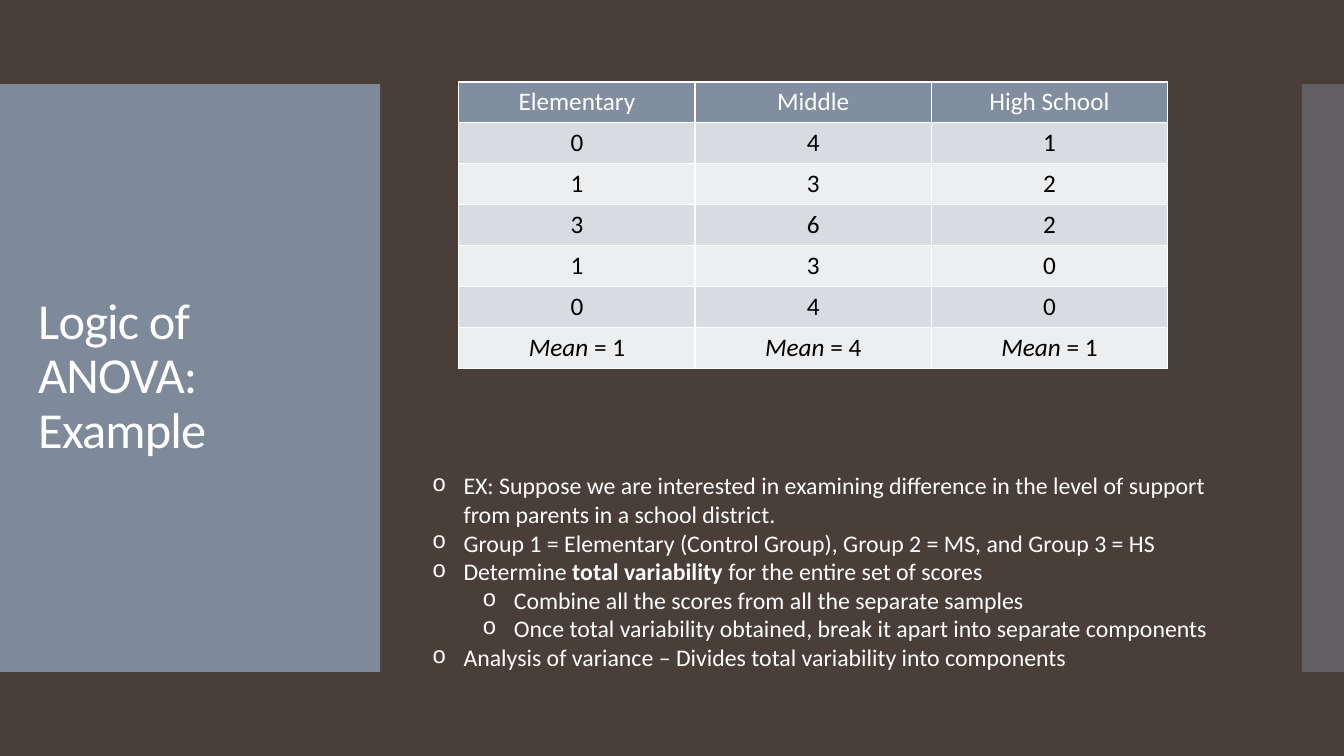
from dataclasses import dataclass

from lxml.etree import SubElement
from pptx import Presentation
from pptx.dml.color import RGBColor
from pptx.enum.shapes import MSO_SHAPE
from pptx.enum.text import MSO_ANCHOR, PP_ALIGN
from pptx.oxml.ns import qn
from pptx.util import Emu, Pt

PX = 9525  # EMU per px, 96 px to the inch
FONT = "Calibri"
WHITE, BLACK, BROWN, SLATE = "FFFFFF", "000000", "4A3F38", "818E9F"
BANDS = ("D8DBDF", "EDEEF0")


@dataclass(frozen=True)
class Box:
    left: int
    top: int
    width: int
    height: int

    def emu(self) -> list[Emu]:
        return [px(n) for n in (self.left, self.top, self.width, self.height)]


@dataclass(frozen=True)
class Panel:
    box: Box
    opacity: int


@dataclass(frozen=True)
class Span:
    text: str
    bold: bool = False
    italic: bool = False


@dataclass(frozen=True)
class Point:
    spans: tuple[Span, ...]
    level: int = 0


PANELS = (Panel(Box(0, 80, 362, 560), 95), Panel(Box(1240, 80, 40, 560), 40))
TITLE_BOX = Box(27, 118, 309, 483)
POINTS_BOX = Box(402, 444, 792, 284)
COLUMN_WIDTH, ROW_HEIGHT = 225, 39
TABLE_LEFT, TABLE_TOP = 437, 78
INDENT, LEVEL_STEP = 30, 48

SCHOOLS = ("Elementary", "Middle", "High School")
SCORES = ((0, 4, 1), (1, 3, 2), (3, 6, 2), (1, 3, 0), (0, 4, 0))
MEANS = (1, 4, 1)

POINTS = (
    Point((Span("EX: Suppose we are interested in examining difference in the "
                "level of support from parents in a school district."),)),
    Point((Span("Group 1 = Elementary (Control Group), Group 2 = MS, and Group 3 = HS"),)),
    Point((Span("Determine "), Span("total variability", bold=True),
           Span(" for the entire set of scores"))),
    Point((Span("Combine all the scores from all the separate samples"),), 1),
    Point((Span("Once total variability obtained, break it apart into separate components"),), 1),
    Point((Span("Analysis of variance – Divides total variability into components"),)),
)


def px(length: int) -> Emu:
    return Emu(length * PX)


def rgb(color: str) -> RGBColor:
    return RGBColor.from_string(color)


def add_span(paragraph, span: Span, size: int, color: str):
    run = paragraph.add_run()
    run.text = span.text
    font = run.font
    font.name, font.size = FONT, Pt(size)
    font.bold, font.italic = span.bold, span.italic
    font.color.rgb = rgb(color)
    return run


def add_panel(slide, panel: Panel) -> None:
    shape = slide.shapes.add_shape(MSO_SHAPE.RECTANGLE, *panel.box.emu())
    shape.shadow.inherit = False
    shape.fill.solid()
    shape.fill.fore_color.rgb = rgb(SLATE)
    shape.line.fill.background()
    color = shape.fill._xPr.find(qn("a:solidFill"))[0]
    SubElement(color, qn("a:alpha"), val=str(panel.opacity * 1000))


def add_text_frame(slide, box: Box):
    frame = slide.shapes.add_textbox(*box.emu()).text_frame
    frame.word_wrap = True
    return frame


def add_title(slide) -> None:
    frame = add_text_frame(slide, TITLE_BOX)
    frame.vertical_anchor = MSO_ANCHOR.MIDDLE
    paragraph = frame.paragraphs[0]
    paragraph.line_spacing = 0.9
    run = add_span(paragraph, Span("Logic of ANOVA: Example"), 36, WHITE)
    run.font._element.set("spc", "-60")


def fill_cell(cell, spans: tuple[Span, ...], fill: str, color: str) -> None:
    properties = cell._tc.get_or_add_tcPr()
    for side in "LRTB":
        border = SubElement(properties, qn(f"a:ln{side}"), w=str(Pt(1)))
        SubElement(SubElement(border, qn("a:solidFill")), qn("a:srgbClr"), val=WHITE)
    cell.fill.solid()
    cell.fill.fore_color.rgb = rgb(fill)
    paragraph = cell.text_frame.paragraphs[0]
    paragraph.alignment = PP_ALIGN.CENTER
    for span in spans:
        add_span(paragraph, span, 18, color)


def add_score_table(slide) -> None:
    rows = [[(Span(school),) for school in SCHOOLS]]
    rows += [[(Span(str(score)),) for score in scores] for scores in SCORES]
    rows.append([(Span("Mean", italic=True), Span(f" = {mean}")) for mean in MEANS])
    box = Box(TABLE_LEFT, TABLE_TOP, COLUMN_WIDTH * len(SCHOOLS), ROW_HEIGHT * len(rows))
    table = slide.shapes.add_table(len(rows), len(SCHOOLS), *box.emu()).table
    for r, row in enumerate(rows):
        fill, color = (BANDS[(r - 1) % 2], BLACK) if r else (SLATE, WHITE)
        for c, spans in enumerate(row):
            fill_cell(table.cell(r, c), spans, fill, color)


def add_points(slide) -> None:
    frame = add_text_frame(slide, POINTS_BOX)
    for i, point in enumerate(POINTS):
        paragraph = frame.add_paragraph() if i else frame.paragraphs[0]
        paragraph.level = point.level
        properties = paragraph._p.get_or_add_pPr()
        properties.set("marL", str(px(INDENT + LEVEL_STEP * point.level)))
        properties.set("indent", str(px(-INDENT)))
        SubElement(properties, qn("a:buFont"), typeface="Courier New")
        SubElement(properties, qn("a:buChar"), char="o")
        for span in point.spans:
            add_span(paragraph, span, 17, WHITE)


def main() -> None:
    deck = Presentation()
    deck.slide_width, deck.slide_height = px(1280), px(720)
    slide = deck.slides.add_slide(deck.slide_layouts[6])
    slide.background.fill.solid()
    slide.background.fill.fore_color.rgb = rgb(BROWN)
    for panel in PANELS:
        add_panel(slide, panel)
    add_title(slide)
    add_score_table(slide)
    add_points(slide)
    deck.save("out.pptx")


if __name__ == "__main__":
    main()
